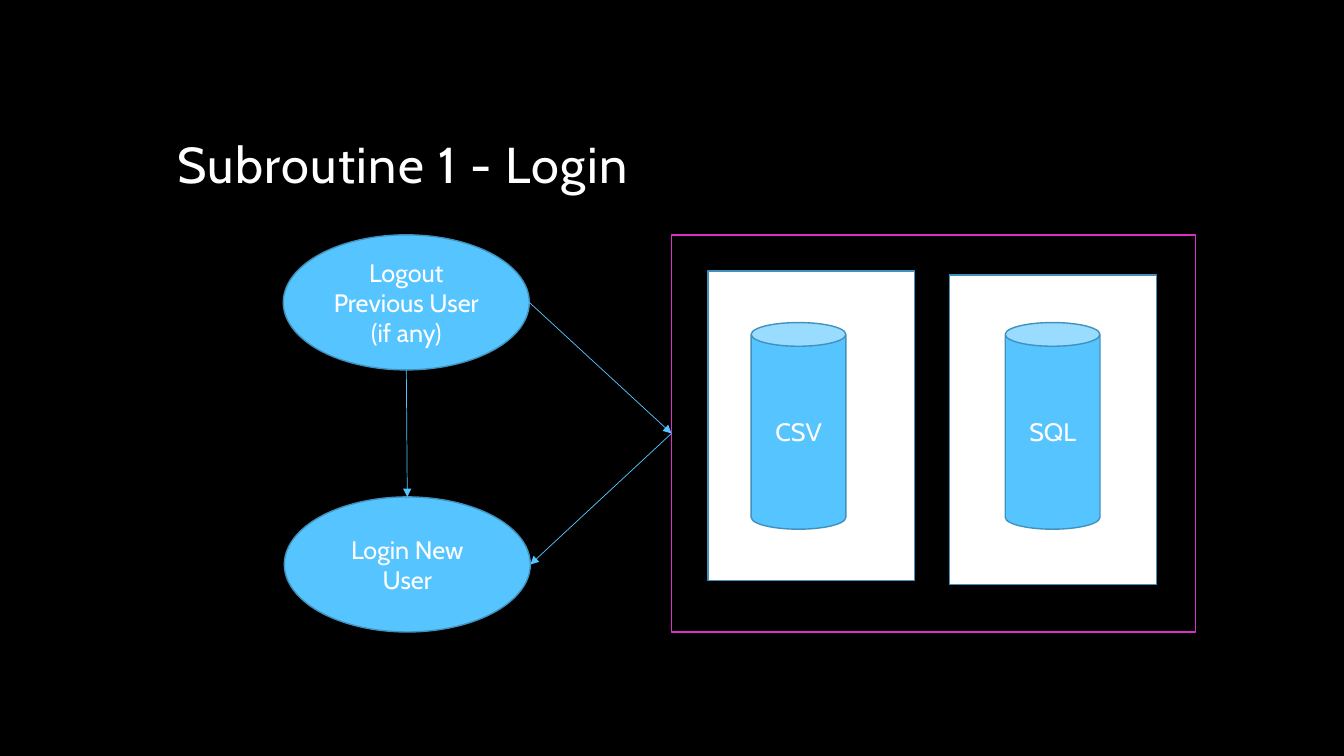
from typing import NamedTuple, Optional

import pptx
import pptx.dml.color
import pptx.enum.shapes
import pptx.enum.text
import pptx.oxml
import pptx.oxml.ns
import pptx.util

Inches = pptx.util.Inches
Pt = pptx.util.Pt
RGBColor = pptx.dml.color.RGBColor
Kind = pptx.enum.shapes.MSO_SHAPE
Anchor = pptx.enum.text.MSO_ANCHOR
Align = pptx.enum.text.PP_ALIGN

BLACK = RGBColor(0x00, 0x00, 0x00)
WHITE = RGBColor(0xFF, 0xFF, 0xFF)
SKY = RGBColor(0x56, 0xC5, 0xFF)
STEEL = RGBColor(0x40, 0x92, 0xBD)
MAGENTA = RGBColor(0xDB, 0x30, 0xC7)
FONT = "Cabin"
TOP, LEFT = 0, 1


class Box(NamedTuple):
    left: float
    top: float
    width: float
    height: float

    @property
    def middle(self) -> float:
        return self.top + self.height / 2

    @property
    def center(self) -> float:
        return self.left + self.width / 2

    @property
    def right(self) -> float:
        return self.left + self.width

    @property
    def bottom(self) -> float:
        return self.top + self.height

    def lengths(self) -> list:
        return [Inches(value) for value in self]


class Node(NamedTuple):
    kind: Kind
    box: Box
    fill: Optional[RGBColor] = SKY
    line: RGBColor = STEEL
    text: str = ""


class Arrow(NamedTuple):
    start: tuple
    end: tuple
    start_shape: Optional[object] = None
    end_shape: Optional[object] = None
    site: int = LEFT


STORE_FRAME = Box(6.66, 2.33, 5.2, 3.94)
LOGOUT = Box(2.81, 2.33, 2.44, 1.34)
LOGIN = Box(2.82, 4.93, 2.44, 1.34)


def store(text: str, panel_left: float, panel_top: float, can_left: float) -> list:
    """Return a white panel and the database cylinder on it."""
    return [
        Node(Kind.RECTANGLE, Box(panel_left, panel_top, 2.05, 3.07), fill=WHITE),
        Node(Kind.CAN, Box(can_left, 3.2, 0.94, 2.05), text=text),
    ]


STORES = [
    Node(Kind.RECTANGLE, STORE_FRAME, fill=None, line=MAGENTA),
    *store("SQL", 9.42, 2.73, 9.97),
    *store("CSV", 7.02, 2.69, 7.45),
]
STEPS = [
    Node(Kind.OVAL, LOGOUT, text="Logout Previous User (if any)"),
    Node(Kind.OVAL, LOGIN, text="Login New User"),
]


def set_font(font, size: int) -> None:
    for name, value in {"name": FONT, "size": Pt(size)}.items():
        setattr(font, name, value)
    font.color.rgb = WHITE


def add_title(slide, text: str) -> None:
    frame = slide.shapes.add_textbox(*Box(1.66, 0.48, 10, 1.5).lengths()).text_frame
    for name, value in {"word_wrap": True, "vertical_anchor": Anchor.BOTTOM}.items():
        setattr(frame, name, value)
    paragraph = frame.paragraphs[0]
    paragraph.line_spacing = 0.9
    run = paragraph.add_run()
    run.text = text
    set_font(run.font, 36)
    run.font._element.set("spc", "100")


def add_node(shapes, node: Node):
    shape = shapes.add_shape(node.kind, *node.box.lengths())
    shape.shadow.inherit = False
    if node.fill is None:
        shape.fill.background()
    else:
        shape.fill.solid()
        shape.fill.fore_color.rgb = node.fill
    shape.line.color.rgb = node.line
    shape.line.width = Pt(1)
    if node.text:
        frame = shape.text_frame
        for name, value in {"word_wrap": True, "vertical_anchor": Anchor.MIDDLE}.items():
            setattr(frame, name, value)
        paragraph = frame.paragraphs[0]
        paragraph.alignment = Align.CENTER
        run = paragraph.add_run()
        run.text = node.text
        set_font(run.font, 18)
    return shape


def add_arrow(slide, arrow: Arrow) -> None:
    ends = [Inches(value) for value in (*arrow.start, *arrow.end)]
    straight = pptx.enum.shapes.MSO_CONNECTOR.STRAIGHT
    connector = slide.shapes.add_connector(straight, *ends)
    if arrow.start_shape is not None:
        connector.begin_connect(arrow.start_shape, arrow.site)
    if arrow.end_shape is not None:
        connector.end_connect(arrow.end_shape, arrow.site)
    connector.line.color.rgb = SKY
    connector.line.width = Pt(0.5)
    tail = pptx.oxml.parse_xml(f'<a:tailEnd {pptx.oxml.ns.nsdecls("a")} type="triangle"/>')
    connector.line._get_or_add_ln().append(tail)
    effects = pptx.oxml.parse_xml(f'<a:effectLst {pptx.oxml.ns.nsdecls("a")}/>')
    connector._element.spPr.append(effects)


def main() -> None:
    presentation = pptx.Presentation()
    presentation.slide_width = Inches(13.33)
    presentation.slide_height = Inches(7.5)
    slide = presentation.slides.add_slide(presentation.slide_layouts[6])
    slide.background.fill.solid()
    slide.background.fill.fore_color.rgb = BLACK

    add_title(slide, "Subroutine 1 - Login")
    group = slide.shapes.add_group_shape()
    frame = [add_node(group.shapes, node) for node in STORES][0]
    login = [add_node(slide.shapes, node) for node in STEPS][1]

    frame_side = (STORE_FRAME.left, STORE_FRAME.middle)
    arrows = [
        Arrow((LOGOUT.right, LOGOUT.middle), frame_side, end_shape=frame),
        Arrow((LOGOUT.center, LOGOUT.bottom), (LOGIN.center, LOGIN.top),
              end_shape=login, site=TOP),
        Arrow(frame_side, (LOGIN.right, LOGIN.middle), start_shape=frame),
    ]
    for arrow in arrows:
        add_arrow(slide, arrow)
    presentation.save("out.pptx")


if __name__ == "__main__":
    main()
